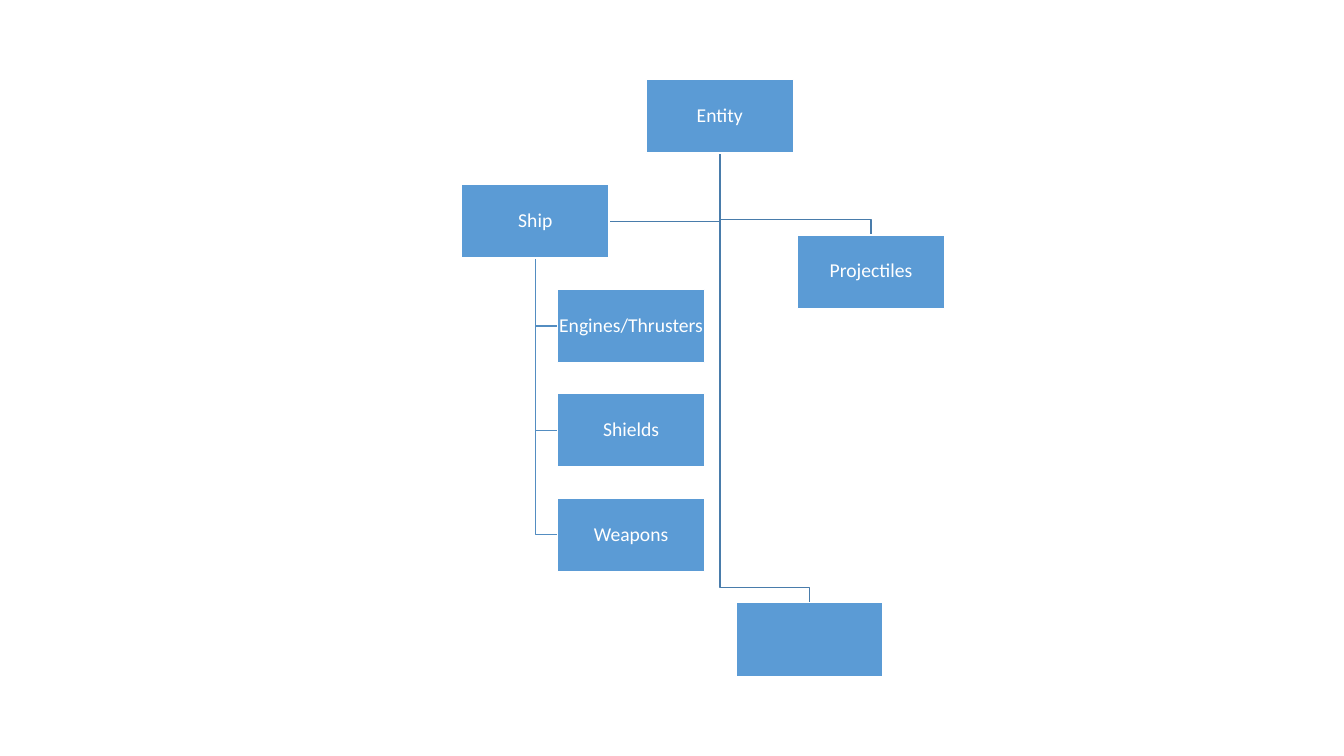
import dataclasses

import pptx
import pptx.dml.color
import pptx.enum.shapes
import pptx.enum.text
import pptx.util

Inches = pptx.util.Inches
Pt = pptx.util.Pt


@dataclasses.dataclass(frozen=True)
class Theme:
    box_fill: str = "5B9BD5"
    light: str = "FFFFFF"
    entity_line: str = "497CAB"
    ship_line: str = "538DC1"
    font: str = "Calibri"
    text_size: float = 14
    line_width: float = 1


@dataclasses.dataclass(frozen=True)
class Node:
    label: str
    left: float
    top: float
    width: float = 1.46
    height: float = 0.73

    @property
    def center(self):
        return self.left + self.width / 2

    @property
    def middle(self):
        return self.top + self.height / 2

    @property
    def right(self):
        return self.left + self.width

    @property
    def bottom(self):
        return self.top + self.height


class Chart:
    def __init__(self, slide, theme):
        self.slide = slide
        self.theme = theme

    def style_line(self, shape, color):
        shape.shadow.inherit = False
        shape.line.color.rgb = pptx.dml.color.RGBColor.from_string(color)
        shape.line.width = Pt(self.theme.line_width)

    def branch(self, points, color):
        """Draw an open elbow line through the points."""
        start, *others = [(Inches(x), Inches(y)) for x, y in points]
        builder = self.slide.shapes.build_freeform(*start)
        builder.add_line_segments(others, close=False)
        shape = builder.convert_to_shape()
        shape.fill.background()
        self.style_line(shape, color)

    def box(self, node):
        """Draw a node with its centred label."""
        color = pptx.dml.color.RGBColor.from_string
        shape = self.slide.shapes.add_shape(
            pptx.enum.shapes.MSO_SHAPE.RECTANGLE,
            Inches(node.left), Inches(node.top),
            Inches(node.width), Inches(node.height))
        shape.fill.solid()
        shape.fill.fore_color.rgb = color(self.theme.box_fill)
        self.style_line(shape, self.theme.light)
        if not node.label:
            return
        frame = shape.text_frame
        frame.text = node.label
        frame.word_wrap = False
        frame.vertical_anchor = pptx.enum.text.MSO_ANCHOR.MIDDLE
        frame.margin_left = frame.margin_right = Inches(0.01)
        frame.margin_top = frame.margin_bottom = Inches(0.01)
        paragraph = frame.paragraphs[0]
        paragraph.alignment = pptx.enum.text.PP_ALIGN.CENTER
        paragraph.line_spacing = 0.9
        font = paragraph.runs[0].font
        font.name = self.theme.font
        font.size = Pt(self.theme.text_size)
        font.color.rgb = color(self.theme.light)


presentation = pptx.Presentation()
presentation.slide_width = Inches(13.33)
presentation.slide_height = Inches(7.5)
slide = presentation.slides.add_slide(presentation.slide_layouts[6])
theme = Theme()
chart = Chart(slide, theme)

# Nodes of the hierarchy
entity = Node("Entity", 6.41, 0.79)
projectiles = Node("Projectiles", 7.91, 2.33)
unnamed = Node("", 7.3, 5.98)
ship = Node("Ship", 4.58, 1.83)
ship_parts = [Node(label, 5.53, 2.87 + 1.035 * row)
              for row, label in enumerate(["Engines/Thrusters", "Shields", "Weapons"])]

# Branches from the ship to its parts
for part in reversed(ship_parts):
    chart.branch([(ship.center, ship.bottom), (ship.center, part.middle),
                  (part.left, part.middle)], theme.ship_line)

# Branches from the entity to its children
trunk = (entity.center, entity.bottom)
chart.branch([trunk, (entity.center, ship.middle), (ship.right, ship.middle)],
             theme.entity_line)
for child in (unnamed, projectiles):
    elbow = child.top - 0.15
    chart.branch([trunk, (entity.center, elbow), (child.center, elbow),
                  (child.center, child.top)], theme.entity_line)

# Boxes on top of the branches
for node in [entity, projectiles, unnamed, ship, *ship_parts]:
    chart.box(node)

presentation.save("out.pptx")
